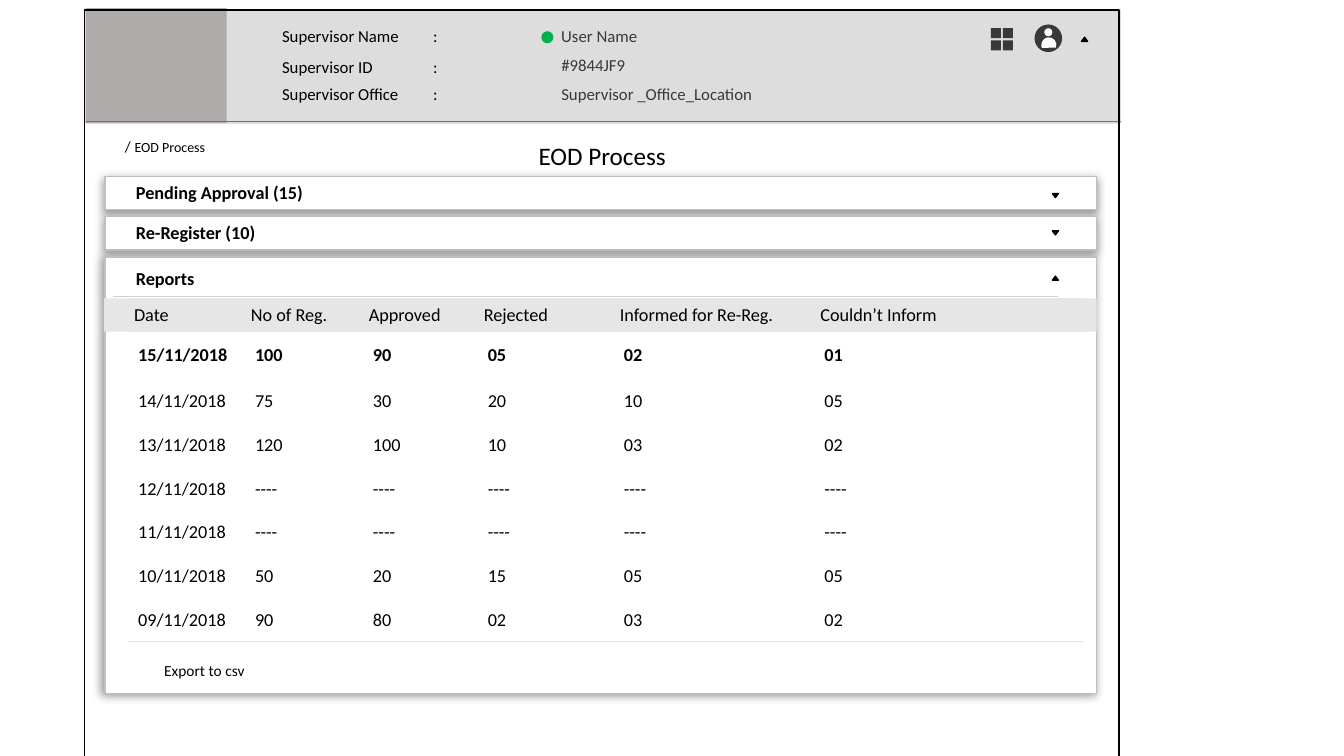
from lxml.etree import SubElement
from pptx import Presentation
from pptx.dml.color import RGBColor
from pptx.enum.shapes import MSO_CONNECTOR, MSO_SHAPE
from pptx.enum.text import MSO_ANCHOR, MSO_AUTO_SIZE, PP_ALIGN
from pptx.oxml.ns import qn
from pptx.util import Inches, Pt

# The slide is a grid of cells a tenth of an inch wide and high
SLIDE_COLS, SLIDE_ROWS = 133.33, 75
FONT = "Calibri"
BLACK, WHITE, DARK = "000000", "FFFFFF", "3B3838"
RULE, EDGE = "E7E6E6", "BFBFBF"

REPORT_COLS = [12.7, 24.3, 36, 47.4, 60.9, 80.8, 107.5]
REPORT_ROWS = [29.6, 32.9, 37.5, 42.1, 46.2, 50.8, 54.9, 59.5, 63.6]
REPORT = [
    ["Date", "No of Reg.", "Approved", "Rejected", "Informed for Re-Reg.", "Couldn’t Inform"],
    ["15/11/2018", "100", "90", "05", "02", "01"],
    ["14/11/2018", "75", "30", "20", "10", "05"],
    ["13/11/2018", "120", "100", "10", "03", "02"],
    ["12/11/2018"] + ["----"] * 5,
    ["11/11/2018"] + ["----"] * 5,
    ["10/11/2018", "50", "20", "15", "05", "05"],
    ["09/11/2018", "90", "80", "02", "03", "02"],
]
SUPERVISOR = [
    (2.1, "Supervisor Name\t:", 2.1, "User Name", 10.3),
    (5.1, "Supervisor ID\t\t:", 4.9, "#9844JF9", 9.1),
    (7.8, "Supervisor Office\t:", 7.8, "Supervisor _Office_Location", 21.8),
]


def cells(*counts):
    return [Inches(count / 10) for count in counts]


def colour(hex_code):
    return RGBColor.from_string(hex_code)


def add_run(paragraph, text, size, hex_code=BLACK, bold=False):
    run = paragraph.add_run()
    run.text = text
    run.font.name, run.font.size, run.font.bold = FONT, Pt(size), bold
    run.font.color.rgb = colour(hex_code)


def add_block(shapes, preset, place, fill=None, edge=None, turn=0):
    block = shapes.add_shape(preset, *cells(*place))
    block.shadow.inherit = False
    block.rotation = turn
    if fill:
        block.fill.solid()
        block.fill.fore_color.rgb = colour(fill)
    else:
        block.fill.background()
    if edge:
        block.line.color.rgb = colour(edge)
        block.line.width = Pt(1)
    else:
        block.line.fill.background()
    return block


def add_label(shapes, place, runs, indent=0):
    label = shapes.add_textbox(*cells(*place))
    frame = label.text_frame
    frame.word_wrap = False
    frame.auto_size = MSO_AUTO_SIZE.SHAPE_TO_FIT_TEXT
    paragraph = frame.paragraphs[0]
    if indent:
        paragraph._p.get_or_add_pPr().set("marL", str(cells(indent)[0]))
    for run in runs:
        add_run(paragraph, *run)


def add_divider(shapes, left, right, row, hex_code):
    divider = shapes.add_connector(MSO_CONNECTOR.STRAIGHT, *cells(left, row, right, row))
    divider.line.color.rgb = colour(hex_code)
    divider.line.width = Pt(0.5)
    SubElement(divider._element.spPr, qn("a:effectLst"))


def add_arrow(shapes, left, top, turn=0):
    add_block(shapes, MSO_SHAPE.ISOSCELES_TRIANGLE, (left, top, 0.6, 0.4), BLACK, BLACK, turn)


def add_panel(shapes, top, height, shadow_angle):
    panel = add_block(shapes, MSO_SHAPE.ROUNDED_RECTANGLE, (10.4, top, 98.4, height), WHITE, EDGE)
    panel.adjustments[0] = 0
    effects = panel._element.spPr.find(qn("a:effectLst"))
    shadow = SubElement(effects, qn("a:outerShdw"), blurRad=str(Pt(6)), dist=str(Pt(2)),
                        dir=str(shadow_angle * 60000), algn="ctr", rotWithShape="0")
    tint = SubElement(shadow, qn("a:srgbClr"), val="808080")
    SubElement(tint, qn("a:alpha"), val="80000")


def set_borders(cell, bottom):
    properties = cell._tc.get_or_add_tcPr()
    for side in ("lnL", "lnR", "lnT", "lnB"):
        border = SubElement(properties, qn("a:" + side), w=str(Pt(0.5)))
        if side == "lnB" and bottom:
            fill = SubElement(border, qn("a:solidFill"))
            SubElement(fill, qn("a:srgbClr"), val=bottom)
        else:
            SubElement(border, qn("a:noFill"))


def add_report(shapes):
    left, top = REPORT_COLS[0], REPORT_ROWS[0]
    place = cells(left, top, REPORT_COLS[-1] - left, REPORT_ROWS[-1] - top)
    table = shapes.add_table(len(REPORT), len(REPORT[0]), *place).table
    table.first_row = table.horz_banding = False
    for column, start, end in zip(table.columns, REPORT_COLS, REPORT_COLS[1:]):
        column.width = cells(end - start)[0]
    for index, (row, values) in enumerate(zip(table.rows, REPORT)):
        row.height = cells(REPORT_ROWS[index + 1] - REPORT_ROWS[index])[0]
        is_header = index == 0
        for cell, value in zip(row.cells, values):
            set_borders(cell, None if is_header else RULE)
            cell.fill.solid()
            cell.fill.fore_color.rgb = colour(RULE if is_header else WHITE)
            cell.vertical_anchor = MSO_ANCHOR.MIDDLE
            cell.margin_left = cells(0.6 if is_header else 1)[0]
            cell.margin_top = cell.margin_bottom = 0
            add_run(cell.text_frame.paragraphs[0], value, 13, bold=index == 1)


def add_title(slide):
    title = slide.shapes.title
    title.left, title.top, title.width, title.height = cells(48, 13.4, 23.5, 4)
    title.text_frame.auto_size = MSO_AUTO_SIZE.NONE
    title.text_frame.vertical_anchor = MSO_ANCHOR.TOP
    paragraph = title.text_frame.paragraphs[0]
    paragraph.alignment = PP_ALIGN.CENTER
    add_run(paragraph, "EOD Process", 18)


def add_header(shapes):
    add_block(shapes, MSO_SHAPE.RECTANGLE, (8.5, 0.9, 102.7, 11.4), "DDDDDD")
    add_block(shapes, MSO_SHAPE.RECTANGLE, (8.5, 0.8, 14, 11.4), "AFABAB")
    add_divider(shapes, 8.5, 111.2, 12, "767171")
    add_block(shapes, MSO_SHAPE.RECTANGLE, (8.4, 1, 102.6, 74.2), edge=BLACK)
    for label_top, label, value_top, value, value_width in SUPERVISOR:
        add_label(shapes, (26.4, label_top, 22.7, 3), [(label, 12)], 0.6)
        add_label(shapes, (54.1, value_top, value_width, 3), [(value, 12, DARK)], 0.6)
    add_block(shapes, MSO_SHAPE.OVAL, (53.7, 3.1, 1.2, 1.2), "00B050")

    # Menu tiles
    menu = shapes.add_group_shape().shapes
    for top in (2.8, 4):
        for left in (98.3, 99.5):
            add_block(menu, MSO_SHAPE.RECTANGLE, (left, top, 1, 1), DARK)

    # User badge
    user = shapes.add_group_shape().shapes
    add_block(user, MSO_SHAPE.OVAL, (102.7, 2.5, 2.6, 2.6), DARK, DARK)
    add_block(user, MSO_SHAPE.OVAL, (103.6, 2.8, 0.8, 0.8), WHITE)
    add_block(user, MSO_SHAPE.CHORD, (103.3, 3.7, 1.5, 1.5), WHITE, turn=111.5)
    add_arrow(shapes, 107.3, 3.7)


def main():
    deck = Presentation()
    deck.slide_width, deck.slide_height = cells(SLIDE_COLS, SLIDE_ROWS)
    slide = deck.slides.add_slide(deck.slide_layouts[5])
    shapes = slide.shapes

    add_title(slide)
    add_header(shapes)
    add_label(shapes, (11.4, 13, 10.1, 3), [("/", 11), (" ", 12), ("EOD Process", 10)])

    # Collapsed sections
    for top, heading, width, arrow_top in (
        (17.5, "Pending Approval (15)", 18.8, 19.2),
        (21.5, "Re-Register (10)", 14, 22.9),
    ):
        add_panel(shapes, top, 3.3, 120)
        add_label(shapes, (12.5, top, width, 3.2), [(heading, 13, BLACK, True)])
        add_arrow(shapes, 104.4, arrow_top, 180)

    # Open reports section
    add_panel(shapes, 25.5, 43.3, 170)
    add_label(shapes, (12.5, 26, 9, 3.2), [("Reports", 13, BLACK, True)])
    add_arrow(shapes, 104.4, 27.4)
    add_divider(shapes, 11.2, 105, 29.4, "D0CECE")
    add_block(shapes, MSO_SHAPE.RECTANGLE, (10.3, 29.6, 98.5, 3.3), RULE)
    add_report(shapes)
    add_label(shapes, (15.3, 65.1, 10.1, 2.9), [("Export to csv", 11)])

    deck.save("out.pptx")


if __name__ == "__main__":
    main()
